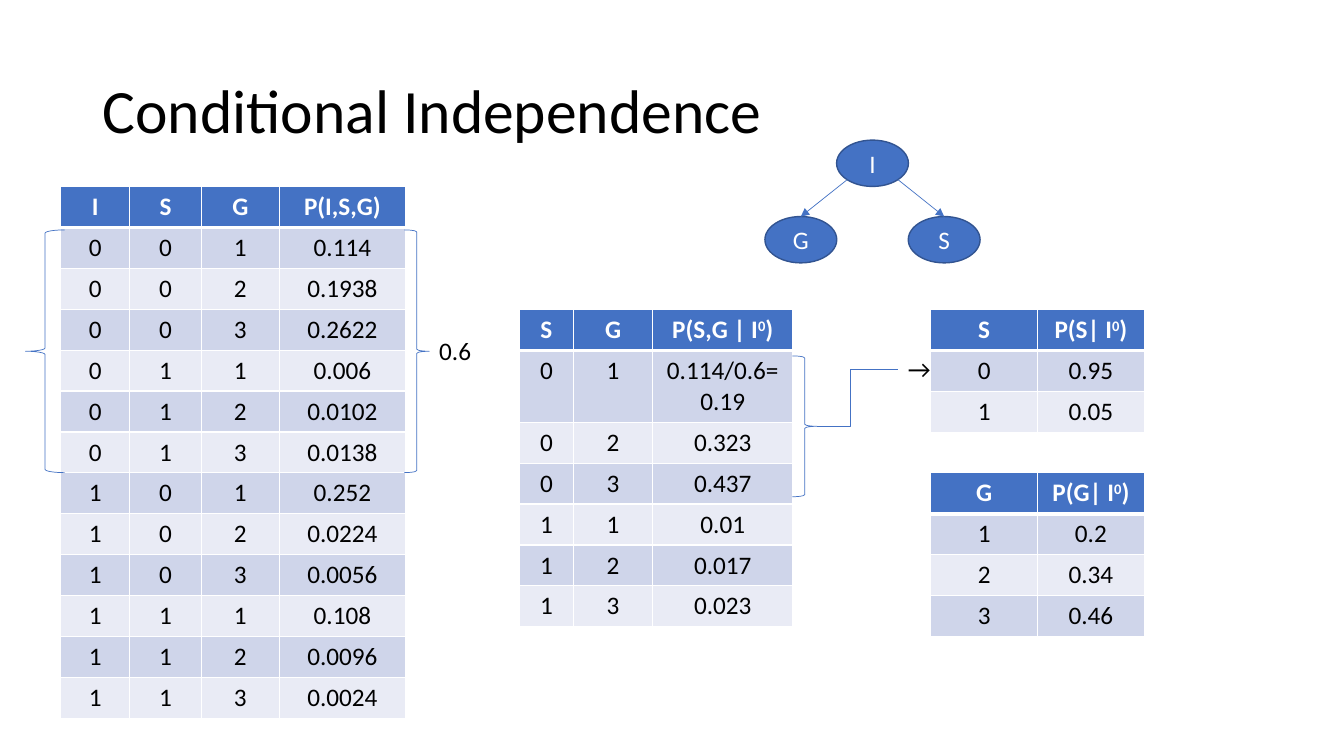
from itertools import product

from lxml import etree
from pptx import Presentation
from pptx import util as u
from pptx.dml.color import RGBColor
from pptx.enum import shapes, text
from pptx.oxml.ns import qn

HUES = {"blue": "4472C4", "edge": "325491", "dark": "CFD5EA",
        "pale": "E9EBF5", "white": "FFFFFF", "black": "000000"}
KIND = shapes.MSO_SHAPE
LINK = shapes.MSO_CONNECTOR
MID = text.PP_ALIGN.CENTER


def hue(name):
    return RGBColor.from_string(HUES[name])


def pts(*nums):
    return [u.Pt(n) for n in nums]


def write(frame, words, size=18, color="black", bold=False, align=None, gap=None):
    """Fill a text frame; parts between carets are superscript."""
    para = frame.paragraphs[0]
    para.alignment = align
    para.line_spacing = gap
    for i, part in enumerate(words.split("^")):
        run = para.add_run()
        run.text = part
        font = run.font
        font.name, font.size, font.bold = "Calibri", u.Pt(size), bold
        font.color.rgb = hue(color)
        if i % 2:
            run._r.get_or_add_rPr().set("baseline", "30000")


class Page:
    """Draws the elements of one slide in a shared style."""

    def __init__(self, slide, row=29.25, thin=0.5):
        self.slide, self.items = slide, slide.shapes
        self.row, self.thin = row, thin

    def title(self, words, *box):
        head = self.items.title
        head.left, head.top, head.width, head.height = pts(*box)
        head.text_frame.vertical_anchor = text.MSO_ANCHOR.MIDDLE
        write(head.text_frame, words, size=44, align=text.PP_ALIGN.LEFT, gap=0.9)

    def label(self, words, *box, wrap=False):
        frame = self.items.add_textbox(*pts(*box)).text_frame
        frame.word_wrap = wrap
        write(frame, words)

    def edge(self, cell, top, base):
        props = cell._tc.get_or_add_tcPr()
        for i, (side, wide) in enumerate(zip("LRTB", (1, 1, top, base))):
            line = etree.Element(qn(f"a:ln{side}"), w=str(u.Pt(wide)))
            fill = etree.SubElement(line, qn("a:solidFill"))
            etree.SubElement(fill, qn("a:srgbClr"), val=HUES["white"])
            props.insert(i, line)

    def table(self, x, y, cols, rows):
        box = pts(x, y, sum(cols), self.row * len(rows))
        grid = self.items.add_table(len(rows), len(cols), *box).table
        for col, wide in zip(grid.columns, cols):
            col.width = u.Pt(wide)
        for r, row in enumerate(rows):
            grid.rows[r].height = u.Pt(self.row)
            tint = "blue" if r == 0 else "dark" if r % 2 else "pale"
            for c, words in enumerate(row):
                cell = grid.cell(r, c)
                cell.fill.solid()
                cell.fill.fore_color.rgb = hue(tint)
                self.edge(cell, 3 if r == 1 else 1, 3 if r == 0 else 1)
                write(cell.text_frame, str(words), bold=r == 0, align=MID,
                      color="black" if r else "white")

    def brace(self, kind, *box):
        item = self.items.add_shape(kind, *pts(*box))
        item.shadow.inherit = False
        item.fill.background()
        item.line.color.rgb = hue("blue")
        item.line.width = u.Pt(self.thin)

    def node(self, words, x, y, wide=51.3, high=33.1):
        item = self.items.add_shape(KIND.OVAL, *pts(x, y, wide, high))
        item.shadow.inherit = False
        item.fill.solid()
        item.fill.fore_color.rgb = hue("blue")
        item.line.color.rgb = hue("edge")
        item.line.width = u.Pt(1)
        item.text_frame.vertical_anchor = text.MSO_ANCHOR.MIDDLE
        write(item.text_frame, words, color="white", align=MID)
        return item

    def link(self, *ends, kind=LINK.STRAIGHT, goal=None, bend=None):
        item = self.items.add_connector(kind, *pts(*ends))
        item.line.color.rgb = hue("blue")
        item.line.width = u.Pt(self.thin)
        props = item._element.spPr
        if goal is not None:
            item.end_connect(goal, 0)
            etree.SubElement(item.line._get_or_add_ln(), qn("a:tailEnd"), type="triangle")
        if bend is not None:
            etree.SubElement(props.find(".//" + qn("a:avLst")), qn("a:gd"),
                             name="adj1", fmla=f"val {bend}")
        etree.SubElement(props, qn("a:effectLst"))


def main():
    deck = Presentation()
    deck.slide_width, deck.slide_height = pts(960, 540)
    page = Page(deck.slides.add_slide(deck.slide_layouts[5]))
    page.title("Conditional Independence", 66, 28.8, 828, 104.4)

    joint = ["0.114", "0.1938", "0.2622", "0.006", "0.0102", "0.0138",
             "0.252", "0.0224", "0.0056", "0.108", "0.0096", "0.0024"]
    given = ["0.114/0.6=0.19", "0.323", "0.437", "0.01", "0.017", "0.023"]
    bits, grades = (0, 1), (1, 2, 3)
    page.table(43.4, 133.2, (49.4, 50.9, 56, 89.9),
               [("I", "S", "G", "P(I,S,G)")]
               + [(*key, p) for key, p in zip(product(bits, bits, grades), joint)])
    page.table(371, 221.2, (38.6, 56.7, 100),
               [("S", "G", "P(S,G | I^0^)")]
               + [(*key, p) for key, p in zip(product(bits, grades), given)])
    page.table(664.8, 221.2, (76.3, 76.3),
               [("S", "P(S| I^0^)"), *zip(bits, ("0.95", "0.05"))])
    page.table(664.8, 337.7, (76.3, 76.3),
               [("G", "P(G| I^0^)"), *zip(grades, ("0.2", "0.34", "0.46"))])

    page.brace(KIND.RIGHT_BRACE, 288.8, 164.2, 17.8, 173.4)
    page.brace(KIND.LEFT_BRACE, 18.2, 164.2, 28, 173.4)
    page.label("0.6", 306.6, 236.3, 37.4, 29)

    page.node("I", 597.6, 100.1)
    left = page.node("G", 546.4, 154.7)
    right = page.node("S", 648.8, 154.7)
    page.link(605.2, 128.3, 572, 154.7, goal=left)
    page.link(641.4, 128.3, 674.4, 154.7, goal=right)

    page.label("→", 641.4, 249.1, 22.6, 29, wrap=True)
    page.brace(KIND.RIGHT_BRACE, 566, 254.2, 17.6, 100.6)
    page.link(583.6, 304.5, 641.4, 263.6, kind=LINK.ELBOW, bend=40800)
    deck.save("out.pptx")


if __name__ == "__main__":
    main()
